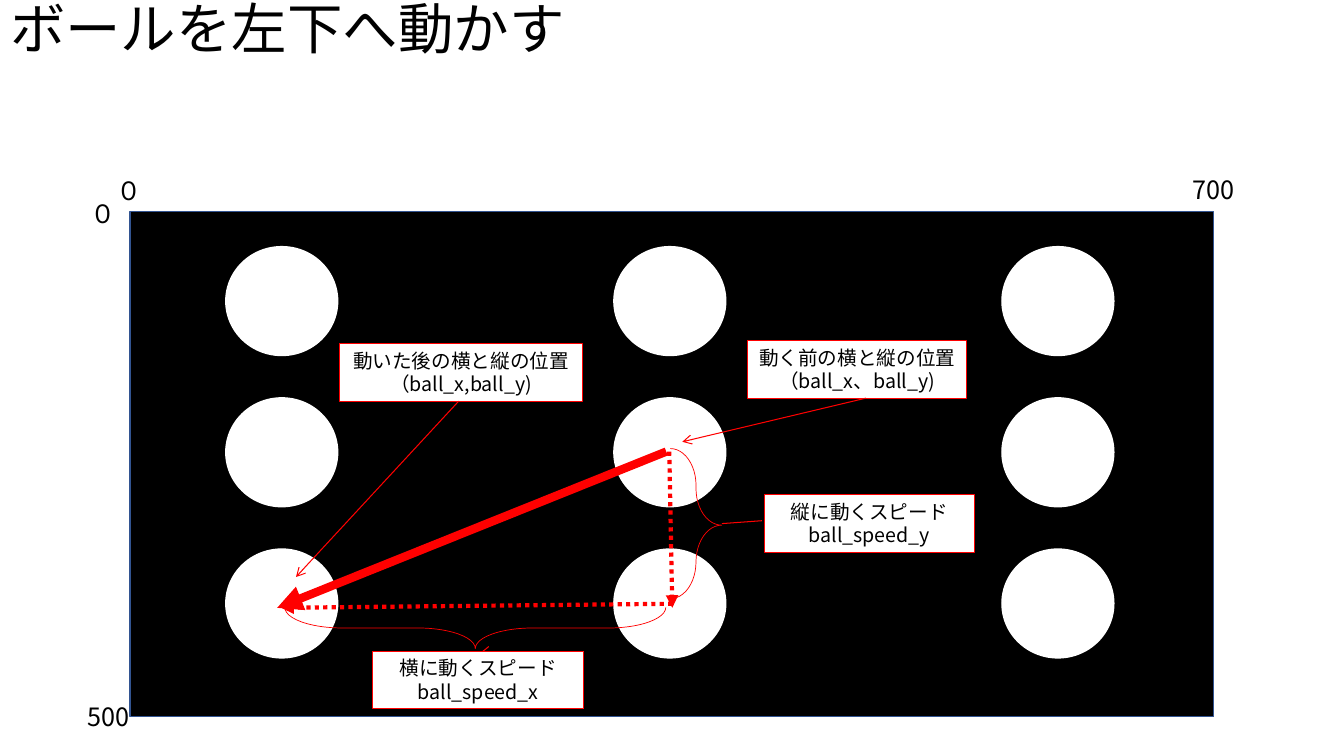
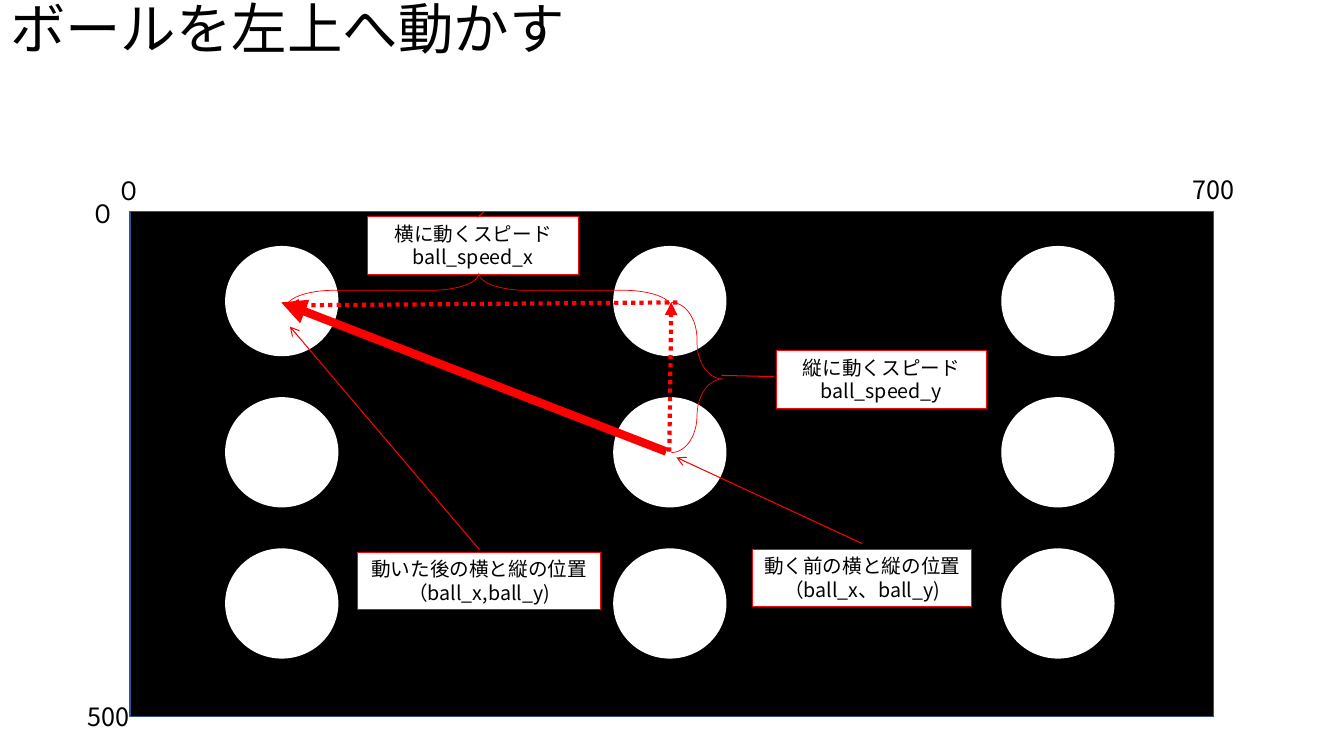
from copy import deepcopy
from lxml.etree import SubElement as Sub
from pptx import Presentation
from pptx.dml.color import RGBColor as Rgb
from pptx.enum.dml import MSO_LINE as Dash
from pptx.enum.shapes import MSO_CONNECTOR as Link, MSO_SHAPE as Kind
from pptx.enum.text import MSO_ANCHOR as Anchor, MSO_AUTO_SIZE as Fit, PP_ALIGN as Align
from pptx.oxml.ns import qn
from pptx.util import Inches, Pt

BLACK = Rgb(0, 0, 0)
WHITE = Rgb(255, 255, 255)
RED = Rgb(255, 0, 0)
NAVY = Rgb(0x32, 0x54, 0x91)
FONT = "Noto Sans CJK JP"
COLS, ROWS = 80, 45
CELL = Inches(7.5) / ROWS


def units(*cells):
    """Turn grid cells into slide units."""
    return [round(n * CELL) for n in cells]


def write(shape, text, size=18, align=Align.LEFT, anchor=Anchor.TOP,
          fit=Fit.SHAPE_TO_FIT_TEXT, wrap=False, space=None):
    """Fill a shape with formatted text."""
    frame = shape.text_frame
    frame.text = text
    frame.auto_size, frame.word_wrap = fit, wrap
    frame.vertical_anchor = anchor
    for para in frame.paragraphs:
        para.alignment, para.line_spacing = align, space
        for run in para.runs:
            run.font.size, run.font.name = Pt(size), FONT
            run.font.color.rgb = BLACK
    for props in shape.element.iter(qn("a:rPr")):
        Sub(props, qn("a:ea"), typeface=FONT)
    for gap in list(shape.element.iter(qn("a:br"))):
        gap.insert(0, deepcopy(props))


def tip(shape, head):
    """Put an arrowhead at the end of a line."""
    Sub(shape.element.spPr.find(qn("a:ln")), qn("a:tailEnd"), type=head)


class Deck:
    """Hold the style and the current slide."""

    def __init__(self):
        """Start a wide deck."""
        self.show = Presentation()
        self.show.slide_width, self.show.slide_height = units(COLS, ROWS)

    def page(self, title):
        """Add a slide with its title."""
        self.slide = self.show.slides.add_slide(self.show.slide_layouts[5])
        head = self.slide.shapes.title
        head.left, head.top, head.width, head.height = units(0, 0, 69, 3.78)
        write(head, title, size=39.6, anchor=Anchor.MIDDLE, fit=Fit.NONE,
              wrap=True, space=0.9)

    def shape(self, kind, *box, fill=None, line=RED, width=1, adj=()):
        """Add a preset shape."""
        item = self.slide.shapes.add_shape(kind, *units(*box))
        item.shadow.inherit = False
        if fill is None:
            item.fill.background()
        else:
            item.fill.solid()
            item.fill.fore_color.rgb = fill
        item.line.color.rgb, item.line.width = line, Pt(width)
        for i, value in enumerate(adj):
            item.adjustments[i] = value
        return item

    def label(self, text, *box):
        """Add an axis label."""
        write(self.slide.shapes.add_textbox(*units(*box)), text)

    def field(self):
        """Draw the court, its axis labels and nine balls."""
        self.shape(Kind.RECTANGLE, 7.74, 12.6, 64.5, 30.06, fill=BLACK, line=NAVY)
        for row in range(3):
            for col in range(3):
                self.shape(Kind.OVAL, 13.44 + 23.1 * col, 14.68 + 9 * row,
                           6.66, 6.48, fill=WHITE, line=WHITE)
        self.label("０", 6.36, 10.14, 2.7, 2.4)
        self.label("500", 4.62, 41.46, 3.72, 2.4)
        self.label("０", 4.8, 11.52, 2.7, 2.4)
        self.label("700", 70.38, 10.08, 3.72, 2.4)

    def note(self, text, x, y, wide, adj, head=None):
        """Add a callout with a pointer."""
        item = self.shape(Kind.LINE_CALLOUT_1, x, y, wide, 3.42, fill=WHITE,
                          width=0.75, adj=adj)
        write(item, text, size=14, align=Align.CENTER, wrap=head is None)
        if head:
            tip(item, head)

    def brace(self, *box, mid=0.5, turn=0):
        """Add a thin brace."""
        item = self.shape(Kind.RIGHT_BRACE, *box, width=0.5, adj=(1.39, mid))
        item.rotation = turn

    def arrow(self, start, end, width=3, dash=Dash.ROUND_DOT):
        """Add a red arrow."""
        item = self.slide.shapes.add_connector(Link.STRAIGHT, *units(*start, *end))
        item.line.color.rgb, item.line.width = RED, Pt(width)
        item.line.dash_style = dash
        tip(item, "triangle")
        Sub(item.element.spPr, qn("a:effectLst"))

    def move(self, title, rise, tall, before, after, across, side, under, path, level):
        """Build one slide about a move of the ball."""
        self.page(title)
        self.field()
        self.arrow((39.84, 26.88), rise)
        self.note("縦に動くスピード\nball_speed_y", *tall[:2], 12.54, tall[2])
        self.brace(*side, 3.06, 8.94, mid=0.51)
        self.note("動く前の横と縦の位置\v（ball_x、ball_y)", *before[:2], 13.02,
                  before[2], head="arrow")
        self.note("動いた後の横と縦の位置\v（ball_x,ball_y)", *after[:2], 14.46,
                  after[2], head="arrow")
        self.note("横に動くスピード\nball_speed_x", *across, 12.54,
                  (0.01, 0.52, -0.08, 0.55))
        self.brace(*under[0], turn=under[1])
        self.arrow((39.66, 26.88), path, width=6, dash=None)
        self.arrow(*level)


deck = Deck()
deck.move("ボールを左下へ動かす", rise=(40.02, 36.18),
          tall=(45.48, 29.46, (0.45, -0.01, 0.5, -0.2)),
          before=(44.52, 20.28, (1, 0.54, 1.76, -0.3)),
          after=(20.22, 20.46, (1, 0.49, 4.06, -0.18)),
          across=(22.2, 38.76), side=(39.9, 26.7),
          under=((27.06, 26.04, 2.46, 22.68), 90),
          path=(16.5, 36.18), level=((40.02, 35.94), (16.74, 36.18)))
deck.move("ボールを左上へ動かす", rise=(39.96, 18),
          tall=(46.2, 20.88, (0.45, -0.01, 0.43, -0.26)),
          before=(44.82, 32.7, (-0.1, 0.5, -1.6, -0.35)),
          after=(21.3, 32.88, (-0.05, 0.5, -3.93, -0.28)),
          across=(21.9, 12.9), side=(39.96, 18),
          under=((27.48, 5.82, 2.04, 22.92), 270),
          path=(16.74, 18), level=((40.32, 18), (17.04, 18.18)))
deck.show.save("out.pptx")
